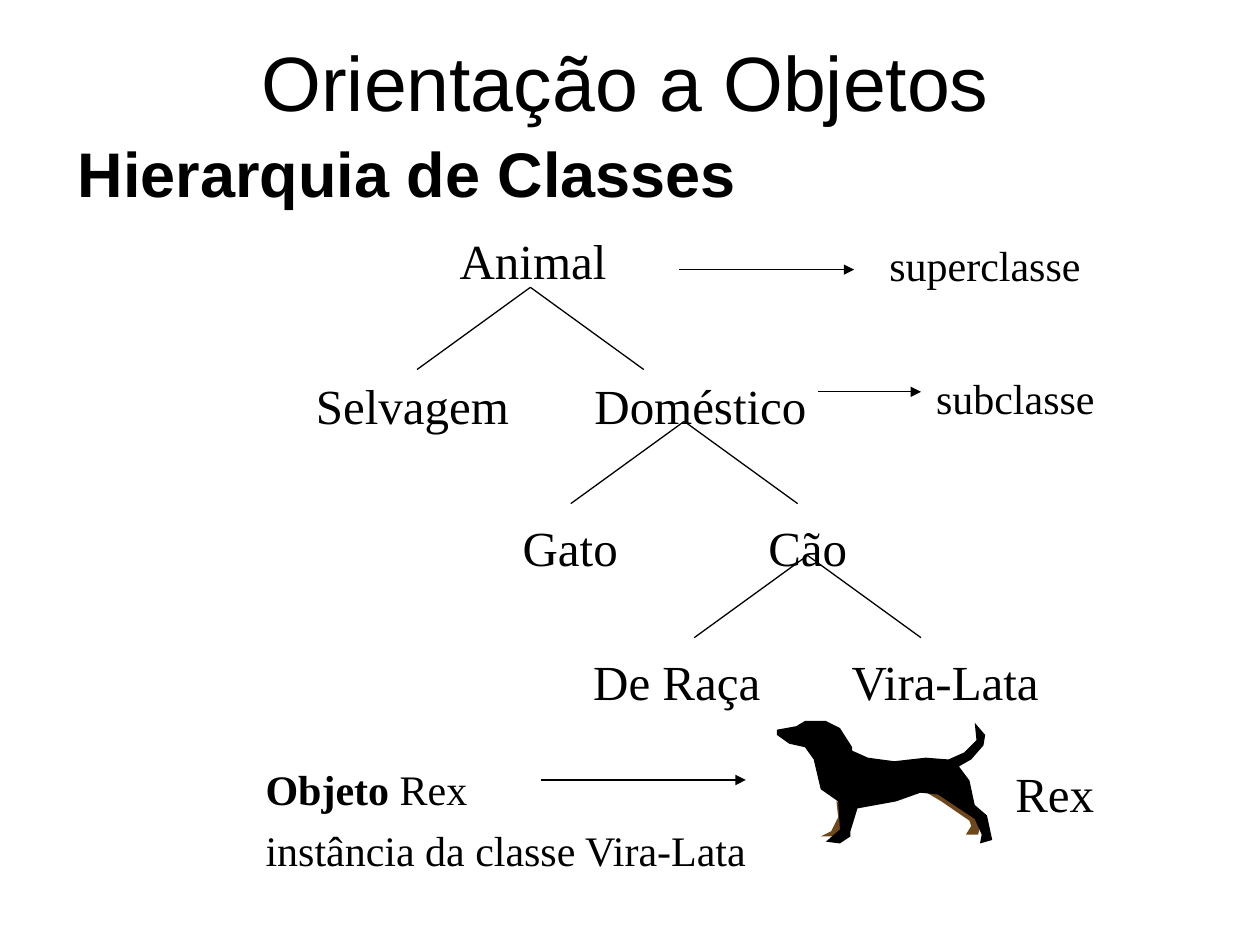
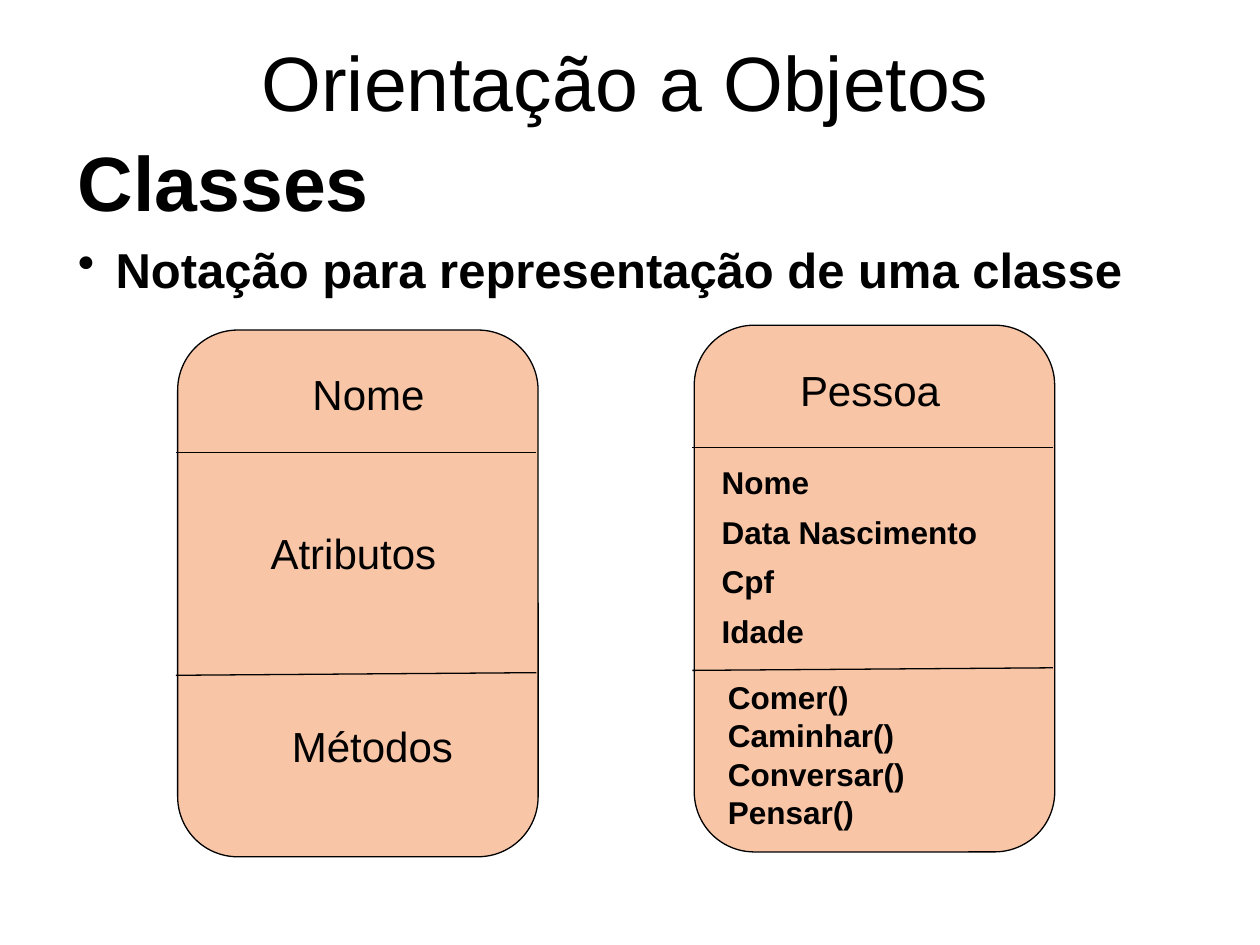
from typing import NamedTuple

from lxml import etree
from pptx import Presentation
from pptx.dml.color import RGBColor
from pptx.enum.shapes import MSO_CONNECTOR, MSO_SHAPE
from pptx.enum.text import MSO_ANCHOR, MSO_AUTO_SIZE, PP_ALIGN
from pptx.oxml.ns import qn
from pptx.util import Pt

STRAIGHT = MSO_CONNECTOR.STRAIGHT
RECTANGLE = MSO_SHAPE.RECTANGLE
ROUNDED = MSO_SHAPE.ROUNDED_RECTANGLE
TOP, MIDDLE = MSO_ANCHOR.TOP, MSO_ANCHOR.MIDDLE
GROW = MSO_AUTO_SIZE.SHAPE_TO_FIT_TEXT
LEFT, CENTER = PP_ALIGN.LEFT, PP_ALIGN.CENTER

COLORS = {"ink": "000000", "card": "F8C5A6", "paw": "6E471B"}
SANS, SERIF = "Arial", "Times New Roman"


class Style(NamedTuple):
    font: str
    size: float
    before: float = 0
    bold: bool = False
    align: PP_ALIGN = LEFT
    spacing: float = 1
    hanging: float = 0
    bullet: str = ""


class Box(NamedTuple):
    left: float
    top: float
    width: float
    height: float


class Label(NamedTuple):
    text: str
    left: float
    top: float
    width: float


class Line(NamedTuple):
    x1: float
    y1: float
    x2: float
    y2: float


class Arrow(NamedTuple):
    left: float
    y: float
    length: float


class Compartment(NamedTuple):
    lines: list[str]
    box: Box
    style: Style


class ClassCard(NamedTuple):
    left: float
    top: float
    compartments: list[Compartment]


TITLE = Style(SANS, 44, align=CENTER)
SUBTITLE = Style(SANS, 36, 9, True, hanging=21.6)
BIG_SUBTITLE = SUBTITLE._replace(size=44, before=11)
BULLET = SUBTITLE._replace(size=28, before=7, bullet="•")
NODE = Style(SERIF, 28, 7)
NOTE = Style(SERIF, 24, 6)
HEADING = Style(SANS, 24, 15, align=CENTER)
ATTRIBUTE = Style(SANS, 18, 11.2, True, spacing=0.8)
METHOD = ATTRIBUTE._replace(spacing=0.5)

TITLE_BOX = Box(39.6, 21.6, 635.8, 49)
NODE_HEIGHT, NOTE_HEIGHT = 37.4, 32.4
FORK_REACH, FORK_DROP = 64.8, 47
CARD_WIDTH, CARD_HEIGHT = 206, 301
HEADING_WIDTH, HEADING_HEIGHT = 152, 36
LIST_WIDTH = 177
LEVELS = [128.2, 211, 292.3, 368.6, 432.7]

NODES = [
    Label("Animal", 255.6, LEVELS[0], 98.6),
    Label("Selvagem", 173.5, LEVELS[1], 125.3),
    Label("Doméstico", 332.6, LEVELS[1], 136.1),
    Label("Gato", 291.6, LEVELS[2], 69.1),
    Label("Cão", 432, LEVELS[2], 59.8),
    Label("De Raça", 331.9, LEVELS[3], 110.2),
    Label("Vira-Lata", 479.5, LEVELS[3], 123.1),
    Label("Rex", 573.1, LEVELS[4], 59.8),
]
NOTES = [
    Label("superclasse", 501.1, 133.2, 123.8),
    Label("subclasse", 527.8, 209.5, 105.1),
]
FORK_XS = [303.1, 391, 461.5]
FORK_TOP, FORK_STEP = 164.2, 76.6
ARROWS = [Arrow(388.1, 154.1, 100), Arrow(467.3, 223.9, 59), Arrow(308.9, 445.7, 117.3)]

FRONT_PAW = [(478, 458), (479, 467), (475, 475), (469, 478),
             (478, 478), (483, 470), (487, 459)]
HIND_PAW = [(528, 452), (538, 458), (554, 469), (555, 472), (552, 477),
            (559, 477), (561, 467), (556, 462), (551, 451)]
DOG_BODY = [
    (479, 458), (469, 451), (465, 434), (460, 427), (451, 425), (444, 420),
    (444, 417), (455, 415), (460, 412), (472, 412), (480, 416), (487, 427),
    (487, 429), (496, 433), (511, 435), (529, 433), (542, 434), (551, 430),
    (558, 423), (557, 413), (563, 420), (562, 426), (555, 434), (548, 438),
    (554, 446), (557, 460), (564, 466), (567, 480), (560, 482), (561, 477),
    (557, 468), (536, 454), (526, 453), (512, 458), (490, 462), (486, 475),
    (486, 478), (480, 482), (472, 481), (480, 474),
]
DOG = [(FRONT_PAW, "paw"), (HIND_PAW, "paw"), (DOG_BODY, "ink")]


def heading(text: str, left: float, top: float) -> Compartment:
    return Compartment([text], Box(left, top, HEADING_WIDTH, HEADING_HEIGHT), HEADING)


CARDS = [
    ClassCard(101.5, 188.6, [
        heading("Nome", 33.1, 18.7),
        heading("Atributos", 24.5, 109.4),
        heading("Métodos", 35.3, 219.6),
    ]),
    ClassCard(396.7, 185.8, [
        heading("Pessoa", 24.5, 18.7),
        Compartment(["Nome", "Data Nascimento", "Cpf", "Idade"],
                    Box(8.6, 79.2, LIST_WIDTH, 110), ATTRIBUTE),
        Compartment(["Comer()", "Caminhar()", "Conversar()", "Pensar()"],
                    Box(12.2, 207.4, LIST_WIDTH, 84), METHOD),
    ]),
]
DIVIDERS = [Line(205, 69.9, -1, 69.9), Line(205, 195.8, -1, 197.3)]


def color(name: str) -> RGBColor:
    return RGBColor.from_string(COLORS[name])


def points(lengths: tuple) -> list[Pt]:
    return [Pt(length) for length in lengths]


def write(frame, rows: list[tuple[str, Style]]) -> None:
    for index, (text, style) in enumerate(rows):
        paragraph = frame.add_paragraph() if index else frame.paragraphs[0]
        if style.hanging:
            properties = paragraph._p.get_or_add_pPr()
            properties.set("marL", str(Pt(style.hanging)))
            properties.set("indent", str(-Pt(style.hanging)))
            if style.bullet:
                bullet = etree.SubElement(properties, qn("a:buChar"))
                bullet.set("char", style.bullet)
        paragraph.alignment = style.align
        paragraph.space_before = Pt(style.before)
        paragraph.line_spacing = style.spacing
        font = paragraph.font
        font.name, font.size, font.bold = style.font, Pt(style.size), style.bold
        font.color.rgb = color("ink")
        paragraph.add_run().text = text


def add_text(slide, box: Box, rows: list[tuple[str, Style]], anchor: MSO_ANCHOR = TOP):
    frame = slide.shapes.add_textbox(*points(box)).text_frame
    frame.word_wrap = True
    frame.vertical_anchor = anchor
    write(frame, rows)
    return frame


def add_label(slide, label: Label, height: float, style: Style) -> None:
    frame = add_text(slide, Box(label.left, label.top, label.width, height),
                     [(label.text, style)])
    frame.word_wrap = False
    frame.margin_bottom = 0
    frame.auto_size = GROW


def add_line(slide, line: Line, arrow: bool = False) -> None:
    connector = slide.shapes.add_connector(STRAIGHT, *points(line))
    connector.line.color.rgb = color("ink")
    connector.line.width = Pt(0.75)
    if arrow:
        stroke = connector.line._get_or_add_ln()
        etree.SubElement(stroke, qn("a:tailEnd")).set("type", "triangle")
    etree.SubElement(connector._element.spPr, qn("a:effectLst"))


def paint(shape, fill: str, outlined: bool = False) -> None:
    shape.shadow.inherit = False
    shape.fill.solid()
    shape.fill.fore_color.rgb = color(fill)
    if outlined:
        shape.line.color.rgb = color("ink")
        shape.line.width = Pt(0.75)
    else:
        shape.line.fill.background()


def add_outline(slide, corners: list[tuple[int, int]], fill: str) -> None:
    builder = slide.shapes.build_freeform(*corners[0], scale=Pt(1))
    builder.add_line_segments(corners[1:], close=True)
    paint(builder.convert_to_shape(), fill)


def add_card(slide, card: ClassCard) -> None:
    card_box = Box(card.left, card.top, CARD_WIDTH, CARD_HEIGHT)
    paint(slide.shapes.add_shape(ROUNDED, *points(card_box)), "card", outlined=True)
    for x1, y1, x2, y2 in DIVIDERS:
        add_line(slide, Line(card.left + x1, card.top + y1,
                             card.left + x2, card.top + y2))
    for lines, box, style in card.compartments:
        placed = box._replace(left=card.left + box.left, top=card.top + box.top)
        panel = slide.shapes.add_shape(RECTANGLE, *points(placed))
        paint(panel, "card")
        frame = panel.text_frame
        frame.word_wrap = True
        frame.vertical_anchor = TOP
        frame.auto_size = GROW
        write(frame, [(text, style) for text in lines])


def add_topic(presentation, body_height: float, rows: list[tuple[str, Style]]):
    slide = presentation.slides.add_slide(presentation.slide_layouts[6])
    add_text(slide, TITLE_BOX, [("Orientação a Objetos", TITLE)], MIDDLE)
    add_text(slide, Box(37.4, 73.4, 658, body_height), rows)
    return slide


def build_hierarchy(presentation) -> None:
    slide = add_topic(presentation, 400, [("Hierarquia de Classes", SUBTITLE)])
    for node in NODES:
        add_label(slide, node, NODE_HEIGHT, NODE)
    for level, x in enumerate(FORK_XS):
        y = FORK_TOP + level * FORK_STEP
        for reach in (-FORK_REACH, FORK_REACH):
            add_line(slide, Line(x, y, x + reach, y + FORK_DROP))
    for corners, fill in DOG:
        add_outline(slide, corners, fill)
    for left, y, length in ARROWS:
        add_line(slide, Line(left, y, left + length, y), arrow=True)
    for note in NOTES:
        add_label(slide, note, NOTE_HEIGHT, NOTE)
    instance = add_text(slide, Box(144.7, LEVELS[4], 293, 67.7),
                        [("Objeto", NOTE), ("instância da classe Vira-Lata", NOTE)])
    instance.margin_bottom = 0
    instance.auto_size = GROW
    instance.paragraphs[0].runs[0].font.bold = True
    instance.paragraphs[0].add_run().text = " Rex"


def build_notation(presentation) -> None:
    slide = add_topic(presentation, 157, [
        ("Classes", BIG_SUBTITLE),
        ("Notação para representação de uma classe", BULLET),
    ])
    for card in CARDS:
        add_card(slide, card)


def main() -> None:
    presentation = Presentation()
    presentation.slide_width, presentation.slide_height = Pt(720), Pt(540)
    build_hierarchy(presentation)
    build_notation(presentation)
    presentation.save("out.pptx")


if __name__ == "__main__":
    main()
